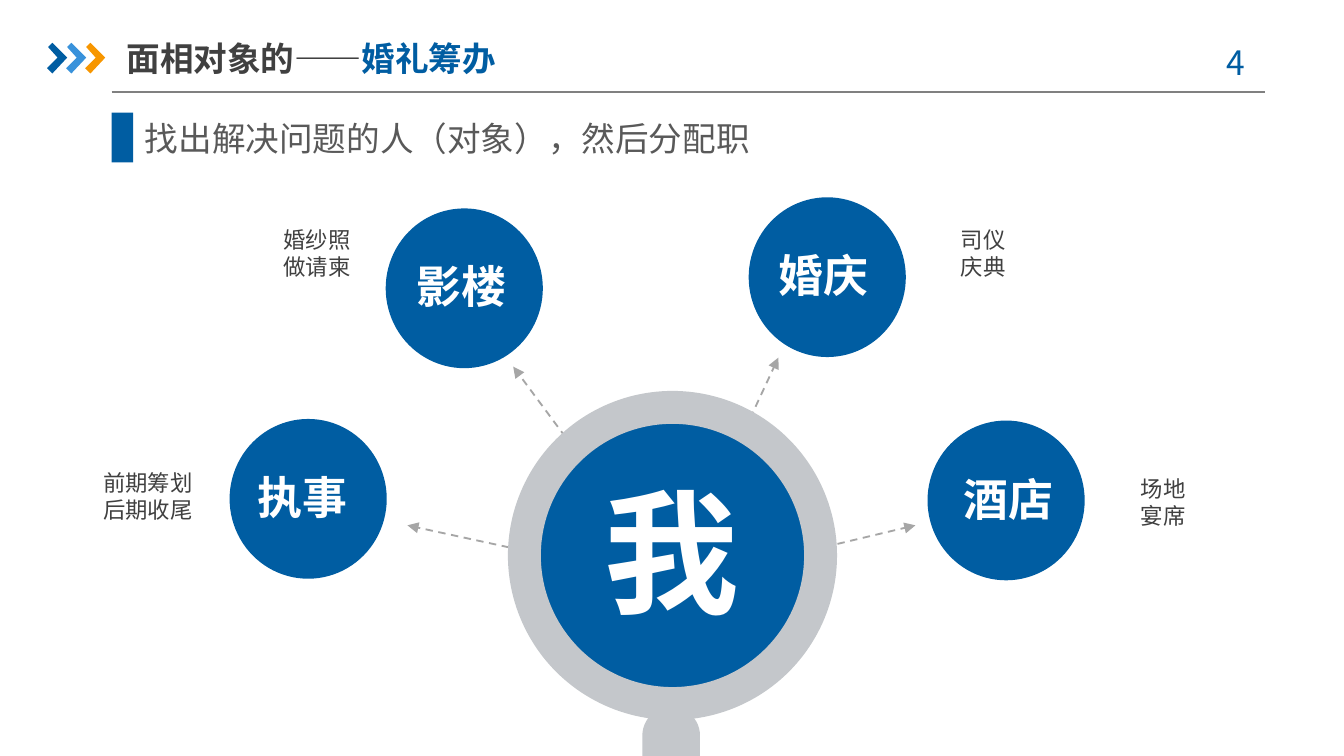
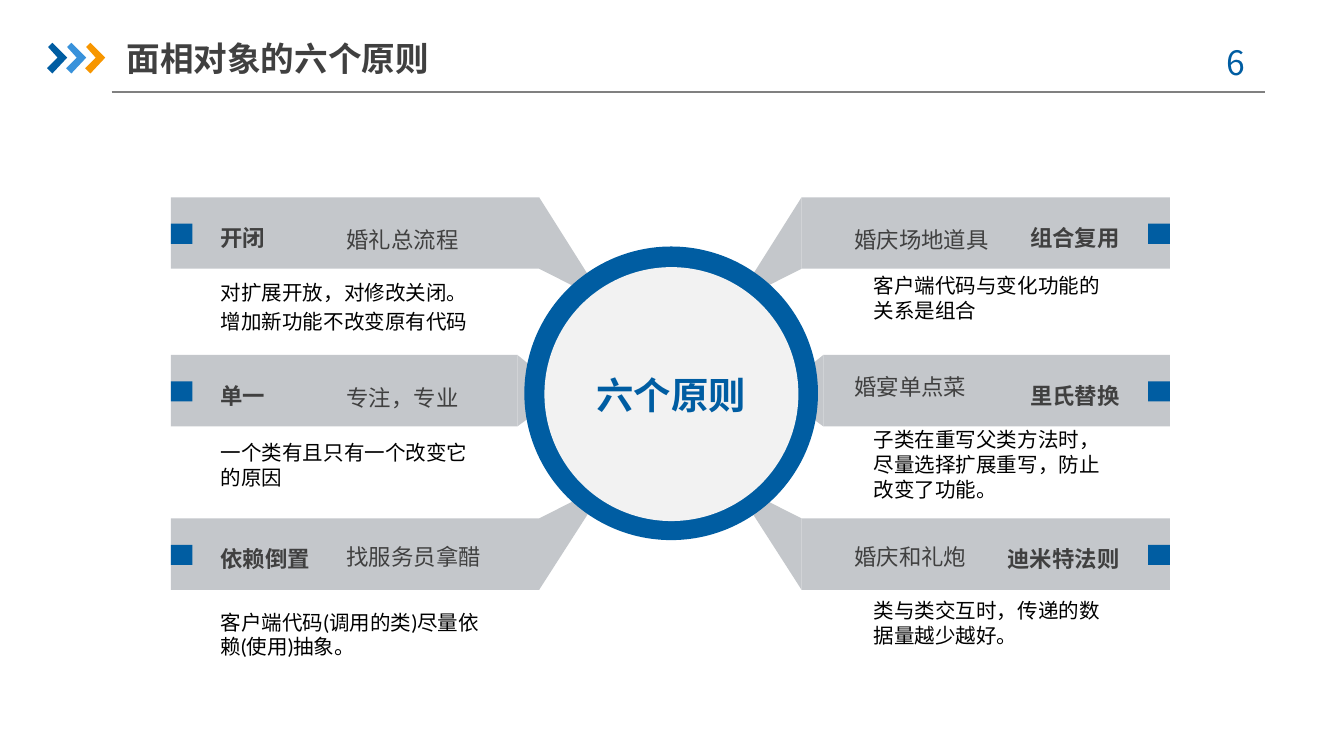
"""Build two slides on object-oriented thinking, told through a wedding."""
from lxml.etree import SubElement
from pptx import Presentation
from pptx.dml.color import RGBColor
from pptx.enum.dml import MSO_LINE
from pptx.enum.shapes import MSO_CONNECTOR, MSO_SHAPE
from pptx.enum.text import MSO_ANCHOR, PP_ALIGN
from pptx.oxml.ns import qn
from pptx.util import Cm, Pt

BLUE, SKY, ORANGE = "005DA2", "3992DB", "F79600"
INK, SLATE, BLACK, WHITE = "404040", "595959", "000000", "FFFFFF"
SILVER, PALE, ARROW, RULE = "C4C7CB", "F2F2F2", "A6A6A6", "808080"
CJK, LATIN, BODY = "Noto Sans CJK SC", "Calibri", "Lato"
CHEVRON = [(0.02, 0.08), (0.1, 0), (0.38, 0.28), (0.1, 0.58), (0, 0.48), (0.2, 0.28)]

HUB = (12.73, 11.02)
ARROW_TIPS = [(17.3, 9.93), (9.7, 6.93), (7.7, 9.93), (14.71, 6.76)]
HELPERS = [
    ("执事", (4.34, 7.92), 4.48, ["前期筹划", "后期收尾"], (1.7, 8.74, 2.39)),
    ("影楼", (7.29, 3.94), 7.49, ["婚纱照", "做请柬"], (5.11, 4.14, 1.8)),
    ("婚庆", (14.15, 3.73), 14.33, ["司仪", "庆典"], (17.91, 4.14, 1.4)),
    ("酒店", (17.53, 7.95), 17.83, ["场地", "宴席"], (21.31, 8.86, 1.6)),
]

BAR_LEFT, BAR_RIGHT, BAR_HEIGHT = 3.23, 22.11, 1.35
ROW_TOPS = [3.73, 6.71, 9.8]
BAR_ENDS = [10.19, 9.78, 10.19]
JOINTS = [
    [(0, 0), (1.06, 1.68), (0.91, 1.81), (0, BAR_HEIGHT)],
    [(0, 0), (0.71, 0.58), (0.71, 0.83), (0, BAR_HEIGHT)],
    [(0, BAR_HEIGHT), (1.06, -0.3), (0.91, -0.46), (0, 0)],
]
LEFT_PRINCIPLES = [
    ("开闭", "婚礼总流程", 4.14, ["对扩展开放，对修改关闭。", "增加新功能不改变原有代码"], 5.46, 0.69),
    ("单一", "专注，专业", 7.14, ["一个类有且只有一个改变它的原因"], 8.43, 0.71),
    ("依赖倒置", "找服务员拿醋", 10.13, ["客户端代码(调用的类)尽量依赖(使用)抽象。"], 11.81, 0.36),
]
RIGHT_PRINCIPLES = [
    ("组合复用", "婚庆场地道具", 4.14, ["客户端代码与变化功能的关系是组合"], 5.46, 0.33),
    ("里氏替换", "婚宴单点菜", 6.93, ["子类在重写父类方法时，尽量选择扩展重写，防止改变了功能。"], 8.61, 0.33),
    ("迪米特法则", "婚庆和礼炮", 10.13, ["类与类交互时，传递的数据量越少越好。"], 11.61, 0.33),
]


def colour(code):
    """Turn a hex string into a colour."""
    return RGBColor.from_string(code)


def style_span(span, size, code, bold=False, font=CJK):
    """Set size, colour, weight and both typefaces of a run."""
    span.font.size, span.font.bold, span.font.name = Pt(size), bold, font
    span.font.color.rgb = colour(code)
    east_asian = SubElement(span._r.get_or_add_rPr(), qn("a:ea"))
    east_asian.set("typeface", CJK)


def fill_text(shape, lines, size, code, bold=False, font=CJK, align=None,
              anchor=MSO_ANCHOR.TOP, inset=(0.25, 0.13), before=None, leading=None):
    """Write one paragraph per line into a shape."""
    frame = shape.text_frame
    frame.word_wrap = True
    frame.vertical_anchor = anchor
    frame.margin_left = frame.margin_right = Cm(inset[0])
    frame.margin_top = frame.margin_bottom = Cm(inset[1])
    frame.text = "\n".join(lines)
    for para in frame.paragraphs:
        para.alignment = align
        if before:
            para.space_before = Pt(before)
        if leading:
            para.line_spacing = Pt(leading)
        for span in para.runs:
            style_span(span, size, code, bold, font)


def add_text(page, place, lines, size, code, **options):
    """Add a text box at left, top, width, height."""
    box = page.shapes.add_textbox(*map(Cm, place))
    fill_text(box, lines, size, code, **options)
    return box


def paint(shape, code):
    """Give a shape a flat fill without line or shadow."""
    shape.shadow.inherit = False
    shape.fill.solid()
    shape.fill.fore_color.rgb = colour(code)
    shape.line.fill.background()
    return shape


def add_figure(page, kind, place, code):
    """Add a flat preset shape at left, top, width, height."""
    return paint(page.shapes.add_shape(kind, *map(Cm, place)), code)


def add_polygon(page, points, code):
    """Add a flat closed outline."""
    corners = [(Cm(x), Cm(y)) for x, y in points]
    builder = page.shapes.build_freeform(*corners[0])
    builder.add_line_segments(corners[1:], close=True)
    return paint(builder.convert_to_shape(), code)


def add_line(page, start, end, code, width):
    """Add a straight connector without shadow."""
    line = page.shapes.add_connector(MSO_CONNECTOR.STRAIGHT, *map(Cm, start + end))
    line.line.color.rgb = colour(code)
    line.line.width = Pt(width)
    SubElement(line._element.spPr, qn("a:effectLst"))
    return line


def add_arrow(page, start, end):
    """Add a dashed arrow."""
    arrow = add_line(page, start, end, ARROW, 1)
    arrow.line.dash_style = MSO_LINE.DASH
    SubElement(arrow.line._get_or_add_ln(), qn("a:tailEnd")).set("type", "triangle")


def add_page(deck, number, title, title_width, accent=None):
    """Add a slide with the shared header and return it."""
    page = deck.slides.add_slide(deck.slide_layouts[6])
    add_line(page, (2.11, 1.74), (23.9, 1.74), RULE, 0.75)
    for index, code in enumerate([BLUE, SKY, ORANGE]):
        left = 0.89 + 0.36 * index
        add_polygon(page, [(left + x, 0.81 + y) for x, y in CHEVRON], code)
    add_text(page, (22.5, 0.66, 1.85, 1.02), [f"{number} "], 18, BLUE, align=PP_ALIGN.CENTER)
    box = add_text(page, (2.39, 0.56, title_width, 1.07), [title], 18, INK, bold=True,
                   anchor=MSO_ANCHOR.MIDDLE, inset=(0, 0.13))
    if accent:
        span = box.text_frame.paragraphs[0].add_run()
        span.text = accent
        style_span(span, 18, BLUE, True, LATIN)
    return page


def add_hub(page):
    """Add the ringed central circle and its handle."""
    add_figure(page, MSO_SHAPE.OVAL, (10.08, 7.9, 5.21, 5.21), BLUE)
    ring = add_figure(page, MSO_SHAPE.DONUT, (9.6, 7.39, 6.22, 6.22), SILVER)
    ring.adjustments[0] = 0.1
    handle = add_figure(page, MSO_SHAPE.ROUNDED_RECTANGLE, (12.14, 13.36, 1.09, 2.24), SILVER)
    handle.adjustments[0] = 0.5
    add_text(page, (10.67, 8.74, 4.06, 3.33), ["我"], 72, WHITE, bold=True,
             align=PP_ALIGN.CENTER)


def add_helper(page, name, corner, label_left, duties, note):
    """Add a helper's circle, its name and its duties."""
    left, top = corner
    add_figure(page, MSO_SHAPE.OVAL, (left, top, 2.97, 3.02), BLUE)
    add_text(page, (label_left, top + 0.81, 2.46, 1.35), [name], 24, WHITE, bold=True,
             align=PP_ALIGN.CENTER, inset=(0.3, 0.15))
    add_text(page, note + (1.27,), duties, 12, INK)


def add_arm(page, top, end, joint, mirrored):
    """Add a grey bar, its joint to the centre and its blue marker."""
    width = end - BAR_LEFT
    left, inner, sign, marker = BAR_LEFT, end, 1, BAR_LEFT
    if mirrored:
        left = inner = BAR_RIGHT - width
        sign, marker = -1, BAR_RIGHT - 0.41
    add_figure(page, MSO_SHAPE.RECTANGLE, (left, top, width, BAR_HEIGHT), SILVER)
    add_polygon(page, [(inner + sign * x, top + y) for x, y in joint], SILVER)
    add_figure(page, MSO_SHAPE.RECTANGLE, (marker, top + 0.5, 0.41, 0.38), BLUE)


def add_principles(page, principles, mirrored):
    """Add one side's arms with name, example and explanation."""
    name_left, topic_left, body_left, body_width, align = 4.17, 6.3, 4.17, 4.93, PP_ALIGN.LEFT
    if mirrored:
        name_left, topic_left, body_left, body_width, align = 15.72, 15.9, 16.51, 4.67, PP_ALIGN.RIGHT
    for top, end, joint, principle in zip(ROW_TOPS, BAR_ENDS, JOINTS, principles):
        name, topic, topic_top, body, body_top, body_height = principle
        add_arm(page, top, end, joint, mirrored)
        add_text(page, (name_left, top + 0.38, 5.44, 0.79), [name], 12, INK, bold=True,
                 align=align, inset=(0, 0.13), before=2.4)
        add_text(page, (body_left, body_top, body_width, body_height), body, 11, BLACK,
                 font=BODY, anchor=MSO_ANCHOR.MIDDLE, inset=(0, 0.13), before=2.2)
        add_text(page, (topic_left, topic_top, 3.5, 0.76), [topic], 12, INK)


def build_wedding(deck):
    """Build the slide that shares the wedding among helpers."""
    page = add_page(deck, 4, "面相对象的——", 8.31, "婚礼筹办")
    for tip in ARROW_TIPS:
        add_arrow(page, HUB, tip)
    add_hub(page)
    for helper in HELPERS:
        add_helper(page, *helper)
    add_text(page, (2.74, 2.54, 11.76, 0.91), ["找出解决问题的人（对象），然后分配职"], 18, SLATE,
             align=PP_ALIGN.JUSTIFY, inset=(0, 0), leading=13)
    add_figure(page, MSO_SHAPE.RECTANGLE, (2.11, 2.13, 0.41, 0.94), BLUE)


def build_principles(deck):
    """Build the slide of the six principles."""
    page = add_page(deck, 6, "面相对象的六个原则", 5.92)
    add_principles(page, LEFT_PRINCIPLES, False)
    add_principles(page, RIGHT_PRINCIPLES, True)
    add_figure(page, MSO_SHAPE.OVAL, (9.91, 4.66, 5.55, 5.55), BLUE)
    disc = add_figure(page, MSO_SHAPE.OVAL, (10.29, 5.05, 4.8, 4.8), PALE)
    fill_text(disc, ["六个原则"], 20, BLUE, bold=True, align=PP_ALIGN.CENTER,
              anchor=MSO_ANCHOR.MIDDLE)


def main():
    """Build and save the deck."""
    deck = Presentation()
    deck.slide_width, deck.slide_height = Cm(25.4), Cm(14.29)
    build_wedding(deck)
    build_principles(deck)
    deck.save("out.pptx")


if __name__ == "__main__":
    main()
